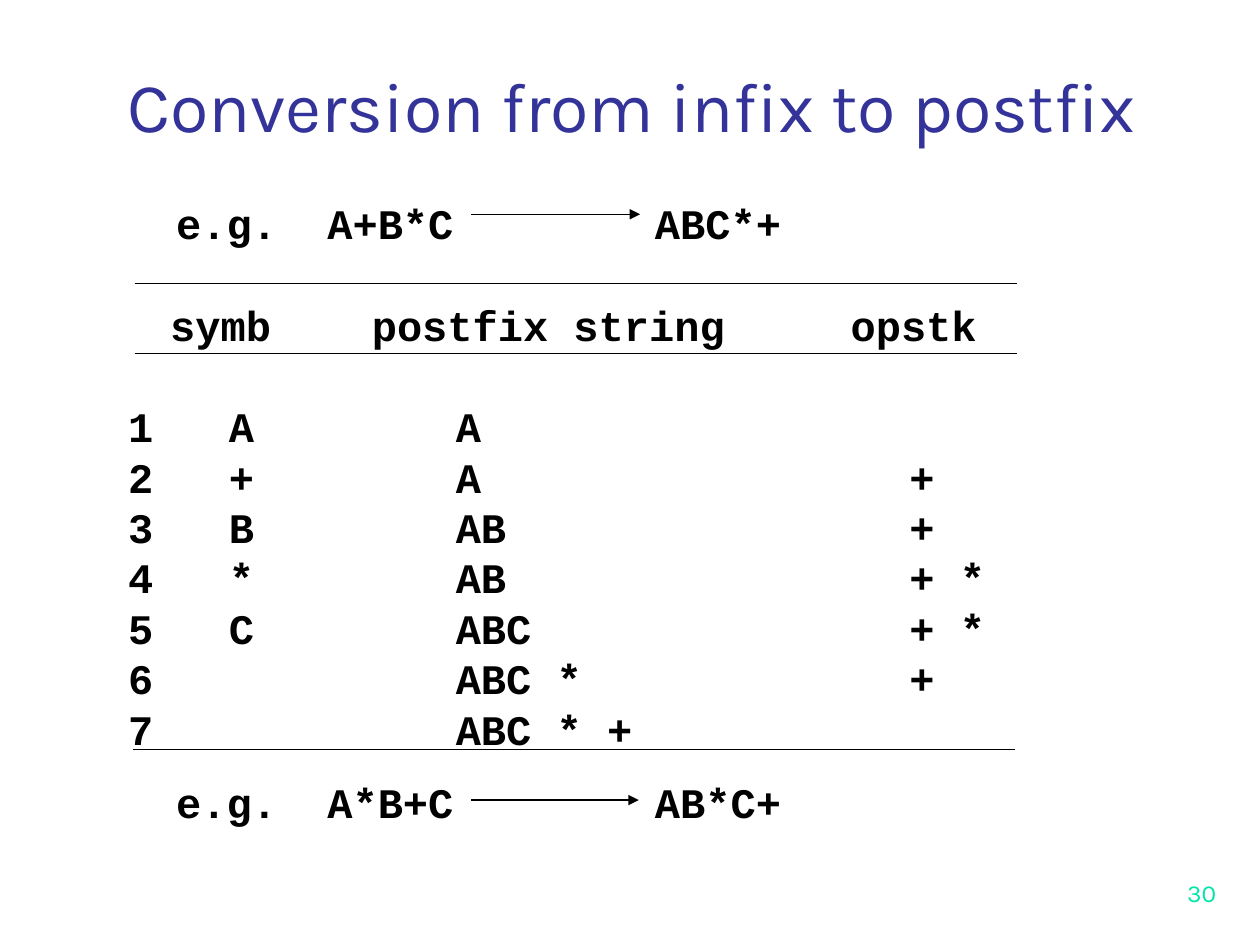
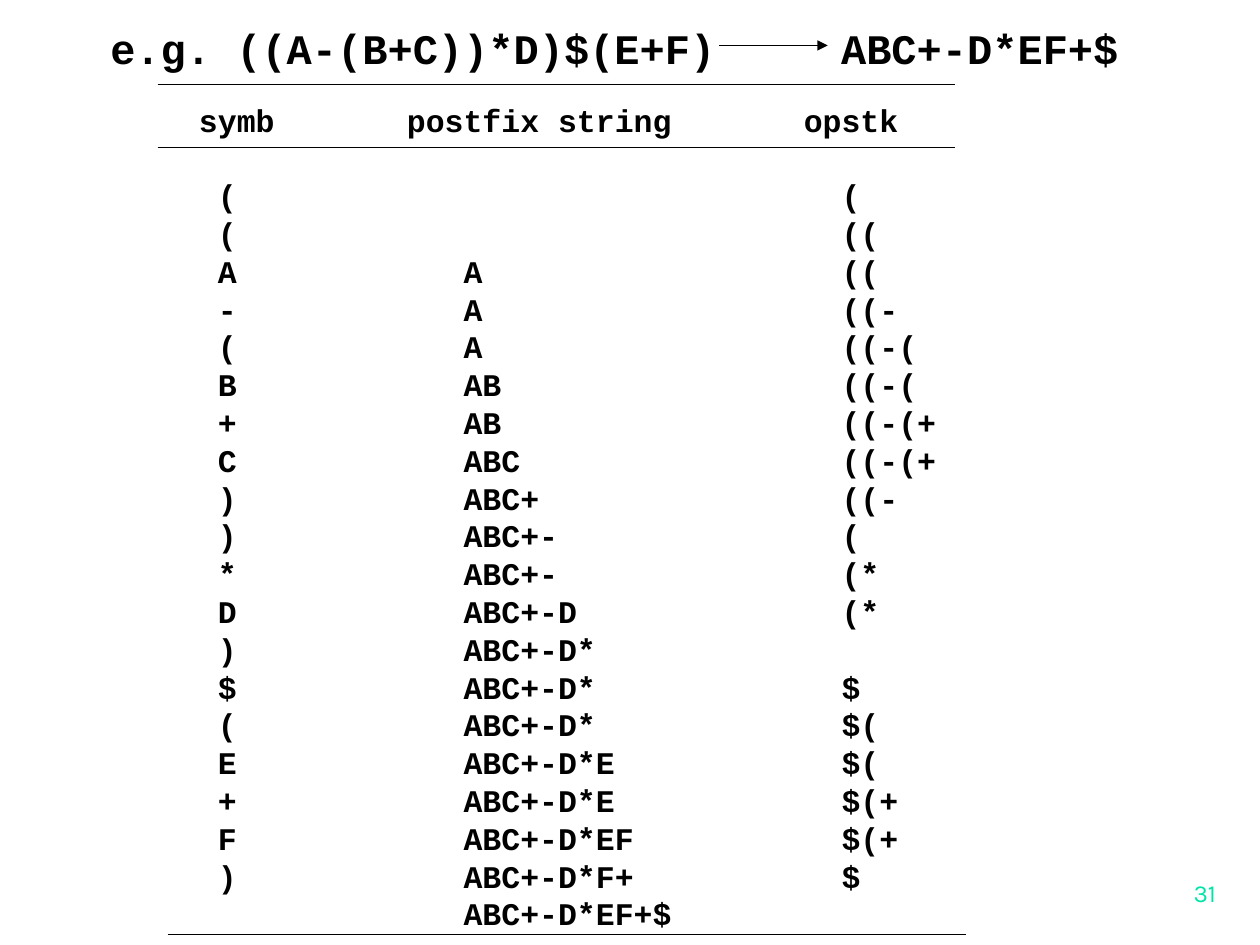
from dataclasses import dataclass

from lxml import etree
from pptx import Presentation
from pptx.dml.color import RGBColor
from pptx.enum.shapes import MSO_CONNECTOR
from pptx.enum.text import MSO_ANCHOR, PP_ALIGN
from pptx.oxml.ns import qn
from pptx.util import Pt

STRAIGHT = MSO_CONNECTOR.STRAIGHT
TOP, BOTTOM = MSO_ANCHOR.TOP, MSO_ANCHOR.BOTTOM
LEFT, CENTER, RIGHT = PP_ALIGN.LEFT, PP_ALIGN.CENTER, PP_ALIGN.RIGHT
TITLE_ONLY = 5
BLACK, BLUE, GREEN = "000000", "333399", "00E4A8"
CODE, SANS = "Courier New", "Karla"


@dataclass(frozen=True)
class Box:
    left: float
    top: float
    width: float
    height: float


@dataclass(frozen=True)
class Style:
    font: str
    size: float
    color: str
    bold: bool = False
    align: int = LEFT


@dataclass(frozen=True)
class Line:
    left: float
    right: float
    y: float
    arrow: bool = False


@dataclass(frozen=True)
class Trace:
    """A trace of the stack; tab stops are counted in characters."""
    box: Box
    style: Style
    head: str
    head_tabs: tuple
    rows: list
    row_tabs: tuple


HEAD = Style(SANS, 40, BLUE, align=CENTER)
CODE_L = Style(CODE, 24, BLACK, bold=True)
CODE_S = Style(CODE, 18, BLACK, bold=True)
PAGE = Style(SANS, 14, GREEN, align=RIGHT)


def color(value: str) -> RGBColor:
    return RGBColor.from_string(value)


def style_para(para, style: Style, tabs: tuple = ()) -> None:
    if tabs:
        stops = etree.SubElement(para._p.get_or_add_pPr(), qn("a:tabLst"))
        for count in tabs:
            # A fixed-width letter is 0.6 of the font size
            place = Pt(round(count * style.size * 0.6, 1))
            etree.SubElement(stops, qn("a:tab"), pos=str(place), algn="l")
    para.alignment = style.align
    para.space_before = Pt(0)
    if style.font == CODE:
        para.line_spacing = Pt(style.size * 1.2)
    for run in para.runs:
        run.font.name = style.font
        run.font.size = Pt(style.size)
        run.font.bold = style.bold
        run.font.color.rgb = color(style.color)


def set_frame(shape, anchor: int, wrap: bool) -> None:
    frame = shape.text_frame
    frame.word_wrap = wrap
    frame.vertical_anchor = anchor
    frame.margin_left = frame.margin_right = Pt(7.2)
    frame.margin_top = frame.margin_bottom = Pt(3.6)


def add_text(slide, box: Box, text: str, style: Style, tabs: tuple = (),
             anchor: int = TOP, wrap: bool = False):
    shape = slide.shapes.add_textbox(
        Pt(box.left), Pt(box.top), Pt(box.width), Pt(box.height))
    set_frame(shape, anchor, wrap)
    shape.text_frame.text = text
    for para in shape.text_frame.paragraphs:
        style_para(para, style, tabs)
    return shape


def add_line(slide, line: Line) -> None:
    link = slide.shapes.add_connector(
        STRAIGHT, Pt(line.left), Pt(line.y), Pt(line.right), Pt(line.y))
    link.line.width = Pt(0.75)
    link.line.color.rgb = color(BLACK)
    if line.arrow:
        etree.SubElement(link.line._get_or_add_ln(), qn("a:tailEnd"),
                         type="triangle")
    etree.SubElement(link._element.spPr, qn("a:effectLst"))


def add_trace(slide, trace: Trace) -> None:
    shape = add_text(slide, trace.box, trace.head, trace.style,
                     trace.head_tabs)
    for i, row in enumerate(trace.rows):
        para = shape.text_frame.add_paragraph()
        para.text = "\t".join(row).rstrip("\t")
        style_para(para, trace.style, trace.row_tabs)
        if i == 0:
            para.space_before = Pt(trace.style.size * 1.2)


def add_slide(deck, title: str, box: Box, style: Style, page: int,
              lines: list, tabs: tuple = ()):
    """Add a slide with its title, lines and page number."""
    slide = deck.slides.add_slide(deck.slide_layouts[TITLE_ONLY])
    shape = slide.shapes.title
    shape.left, shape.top = Pt(box.left), Pt(box.top)
    shape.width, shape.height = Pt(box.width), Pt(box.height)
    set_frame(shape, BOTTOM, True)
    shape.text_frame.text = title
    style_para(shape.text_frame.paragraphs[0], style, tabs)
    for line in lines:
        add_line(slide, line)
    add_text(slide, Box(552.2, 486, 149.8, 36), str(page), PAGE,
             anchor=BOTTOM, wrap=True)
    return slide


# Trace of A+B*C: step, symbol, postfix string, stack
SHORT = Trace(
    Box(66.2, 167.8, 504, 266.4), CODE_L,
    "\tsymb\tpostfix string\topstk", (1.67, 9.67, 28.67),
    [
        ("1", "A", "A", ""),
        ("2", "+", "A", "+"),
        ("3", "B", "AB", "+"),
        ("4", "*", "AB", "+ *"),
        ("5", "C", "ABC", "+ *"),
        ("6", "", "ABC *", "+"),
        ("7", "", "ABC * +", ""),
    ], (4, 13, 31))

# Trace of the nested term: indent, symbol, postfix string, stack
LONG = Trace(
    Box(106.6, 54, 457.2, 482.4), CODE_S,
    "symb\tpostfix string\topstk", (11, 32),
    [
        ("", "(", "", "("),
        ("", "(", "", "(("),
        ("", "A", "A", "(("),
        ("", "-", "A", "((-"),
        ("", "(", "A", "((-("),
        ("", "B", "AB", "((-("),
        ("", "+", "AB", "((-(+"),
        ("", "C", "ABC", "((-(+"),
        ("", ")", "ABC+", "((-"),
        ("", ")", "ABC+-", "("),
        ("", "*", "ABC+-", "(*"),
        ("", "D", "ABC+-D", "(*"),
        ("", ")", "ABC+-D*", ""),
        ("", "$", "ABC+-D*", "$"),
        ("", "(", "ABC+-D*", "$("),
        ("", "E", "ABC+-D*E", "$("),
        ("", "+", "ABC+-D*E", "$(+"),
        ("", "F", "ABC+-D*EF", "$(+"),
        ("", ")", "ABC+-D*F+", "$"),
        ("", "", "ABC+-D*EF+$", ""),
    ], (1, 14, 34))


def main() -> None:
    deck = Presentation()
    deck.slide_width, deck.slide_height = Pt(720), Pt(540)

    # Short terms
    slide = add_slide(
        deck, "Conversion from infix to postfix",
        Box(54, 15.1, 613.4, 72), HEAD, 30,
        [Line(269.3, 365.8, 122.4, True), Line(77, 581, 162),
         Line(77, 581, 202), Line(76.3, 580.3, 428.4),
         Line(269.3, 365, 457.2, True)])
    for top, text in ((109.4, "e.g.\tA+B*C\tABC*+"),
                      (439.9, "e.g.\tA*B+C\tAB*C+")):
        add_text(slide, Box(93.6, top, 360, 36), text, CODE_L, (6, 19))
    add_trace(slide, SHORT)

    # Nested term
    slide = add_slide(
        deck, "e.g. ((A-(B+C))*D)$(E+F)\tABC+-D*EF+$",
        Box(18.7, 9.4, 664.6, 36), CODE_L, 31,
        [Line(411.1, 473, 26, True), Line(90, 545.8, 48.2),
         Line(90, 545.8, 84.2), Line(95.8, 552.2, 534.2)], (29,))
    slide.shapes.title.text_frame.margin_left = Pt(44.3)
    add_trace(slide, LONG)

    deck.save("out.pptx")


if __name__ == "__main__":
    main()
